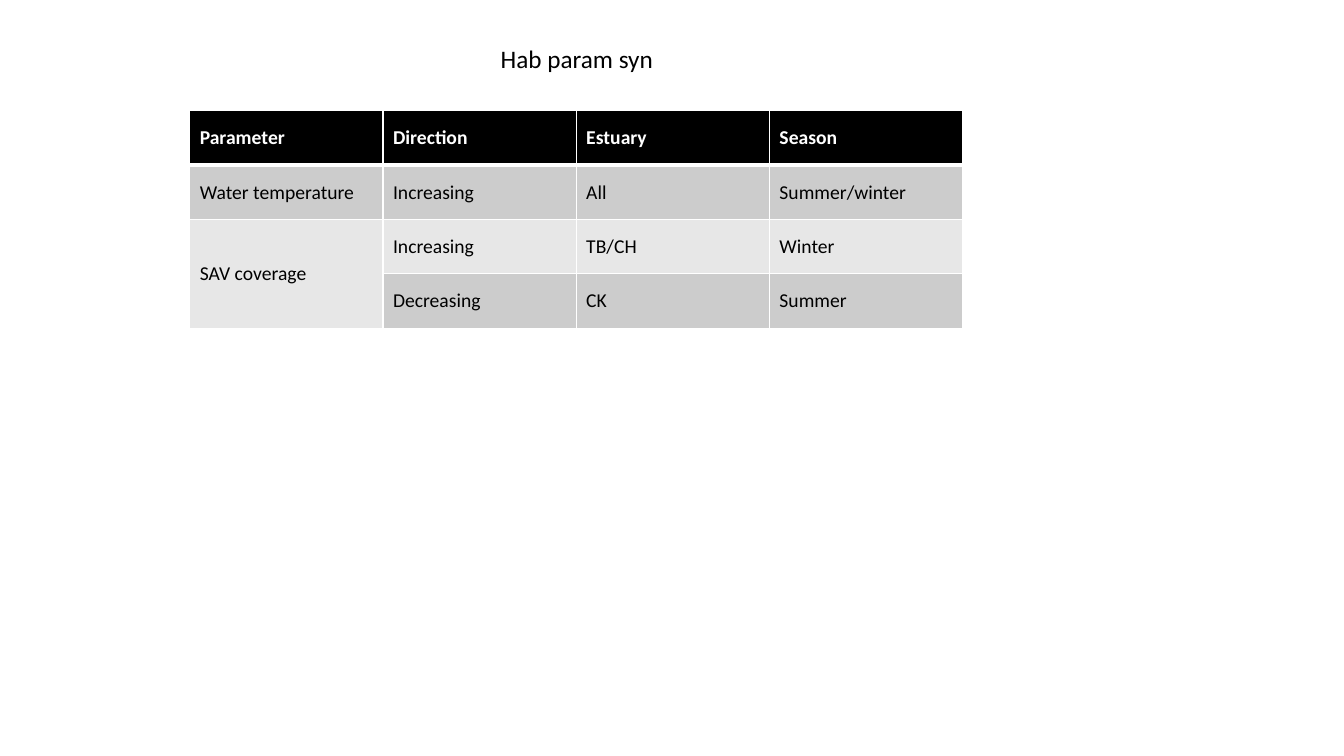
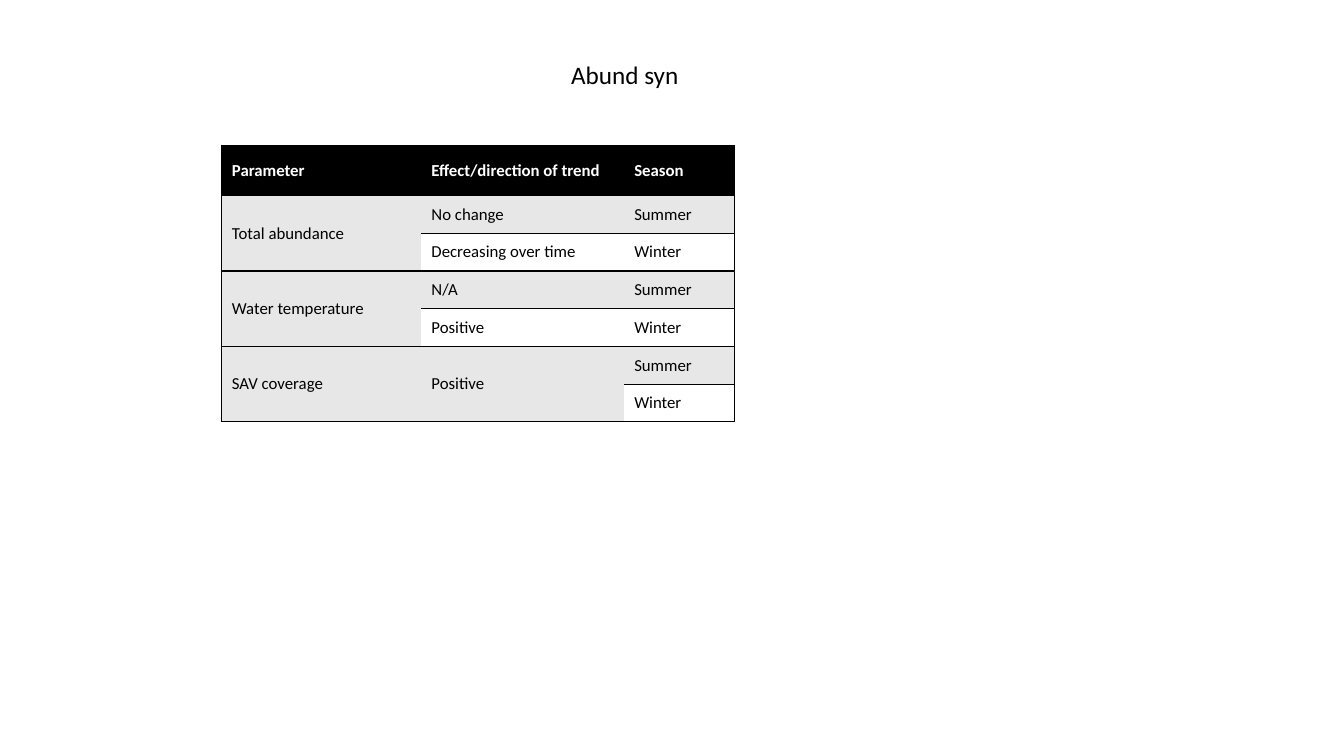
from dataclasses import dataclass

from lxml.etree import SubElement as sub
from pptx import Presentation
from pptx.dml.color import RGBColor as RGB
from pptx.enum.text import MSO_ANCHOR as Anchor, MSO_AUTO_SIZE as Auto, PP_ALIGN as Align
from pptx.oxml.ns import qn
from pptx.util import Cm, Pt


@dataclass(frozen=True)
class Theme:
    font: str = "Calibri"
    black: str = "000000"
    white: str = "FFFFFF"
    mid: str = "CCCCCC"
    light: str = "E7E7E7"
    title: int = 18
    large: int = 14
    small: int = 12


look = Theme()

habitat = dict(
    title="Hab param syn",
    head=(12.34, 0.97, 4.39, 1.02),
    spot=(4.78, 2.79),
    cols=(4.87, 4.87, 4.87, 4.87),
    tall=(1.37, 1.37),
    size=look.large,
    bands=(look.mid, look.light),
    line=look.white,
    rule=3,
    inner=True,
    rows=[
        ("Parameter", "Direction", "Estuary", "Season"),
        ("Water temperature", "Increasing", "All", "Summer/winter"),
        ("SAV coverage", "Increasing", "TB/CH", "Winter"),
        (None, "Decreasing", "CK", "Summer"),
    ],
)

abundance = dict(
    title="Abund syn",
    head=(14.12, 1.37, 3.25, 1.02),
    spot=(5.59, 3.66),
    cols=(5.03, 5.11, 2.79),
    tall=(1.27, 0.95),
    size=look.small,
    bands=(look.light, look.white),
    line=look.black,
    rule=1,
    inner=False,
    rows=[
        ("Parameter", "Effect/direction of trend", "Season"),
        ("Total abundance", "No change", "Summer"),
        (None, "Decreasing over time", "Winter"),
        ("Water temperature", "N/A", "Summer"),
        (None, "Positive", "Winter"),
        ("SAV coverage", "Positive", "Summer"),
        (None, None, "Winter"),
    ],
)


def write(frame, text, size, color=look.black, bold=False, align=Align.LEFT):
    para = frame.paragraphs[0]
    para.alignment = align
    run = para.add_run()
    run.text = text
    font = run.font
    font.name, font.size, font.bold = look.font, Pt(size), bold
    font.color.rgb = RGB.from_string(color)


def edge(cell, side, color, width):
    props = cell._tc.get_or_add_tcPr()
    line = sub(props, qn("a:ln" + side), w=str(Pt(width)))
    if width:
        fill = sub(line, qn("a:solidFill"))
        sub(fill, qn("a:srgbClr"), val=color)
    else:
        sub(line, qn("a:noFill"))


def add_title(slide, data):
    title = slide.shapes.title
    title.left, title.top, title.width, title.height = map(Cm, data["head"])
    frame = title.text_frame
    frame.word_wrap = False
    frame.auto_size = Auto.SHAPE_TO_FIT_TEXT
    frame.vertical_anchor = Anchor.MIDDLE
    write(frame, data["title"], look.title, align=Align.CENTER)


def add_grid(slide, data):
    rows, cols = data["rows"], data["cols"]
    first, rest = data["tall"]
    tall = [first] + [rest] * (len(rows) - 1)
    left, top = data["spot"]
    table = slide.shapes.add_table(
        len(rows), len(cols), Cm(left), Cm(top), Cm(sum(cols)), Cm(sum(tall))
    ).table
    table.first_row = table.horz_banding = False
    for col, width in zip(table.columns, cols):
        col.width = Cm(width)
    for row, height in zip(table.rows, tall):
        row.height = Cm(height)

    for r, row in enumerate(rows):
        for c, text in enumerate(row):
            cell = table.cell(r, c)
            widths = dict(
                L=int(data["inner"] or c == 0),
                R=int(data["inner"] or c == len(cols) - 1),
                T=data["rule"] if r == 1 else 1,
                B=data["rule"] if r == 0 else 1,
            )
            for side, width in widths.items():
                edge(cell, side, data["line"], width)
            cell.fill.solid()
            shade = data["bands"][(r - 1) % 2] if r else look.black
            cell.fill.fore_color.rgb = RGB.from_string(shade)
            cell.vertical_anchor = Anchor.MIDDLE
            if text is None:
                table.cell(r - 1, c).merge(cell)
            else:
                color = look.black if r else look.white
                write(cell.text_frame, text, data["size"], color=color, bold=r == 0)


deck = Presentation()
deck.slide_width, deck.slide_height = Cm(33.87), Cm(19.05)
for data in (habitat, abundance):
    slide = deck.slides.add_slide(deck.slide_layouts[5])
    add_grid(slide, data)
    add_title(slide, data)
deck.save("out.pptx")
